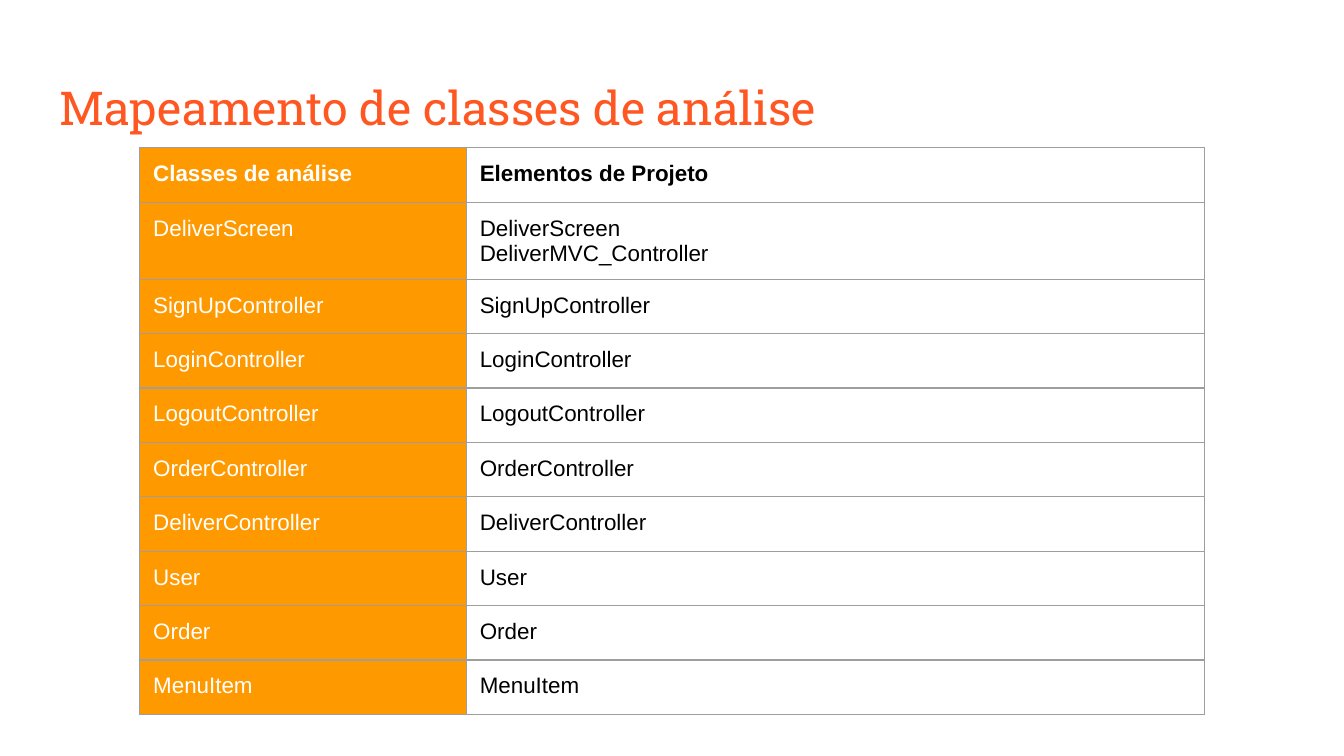
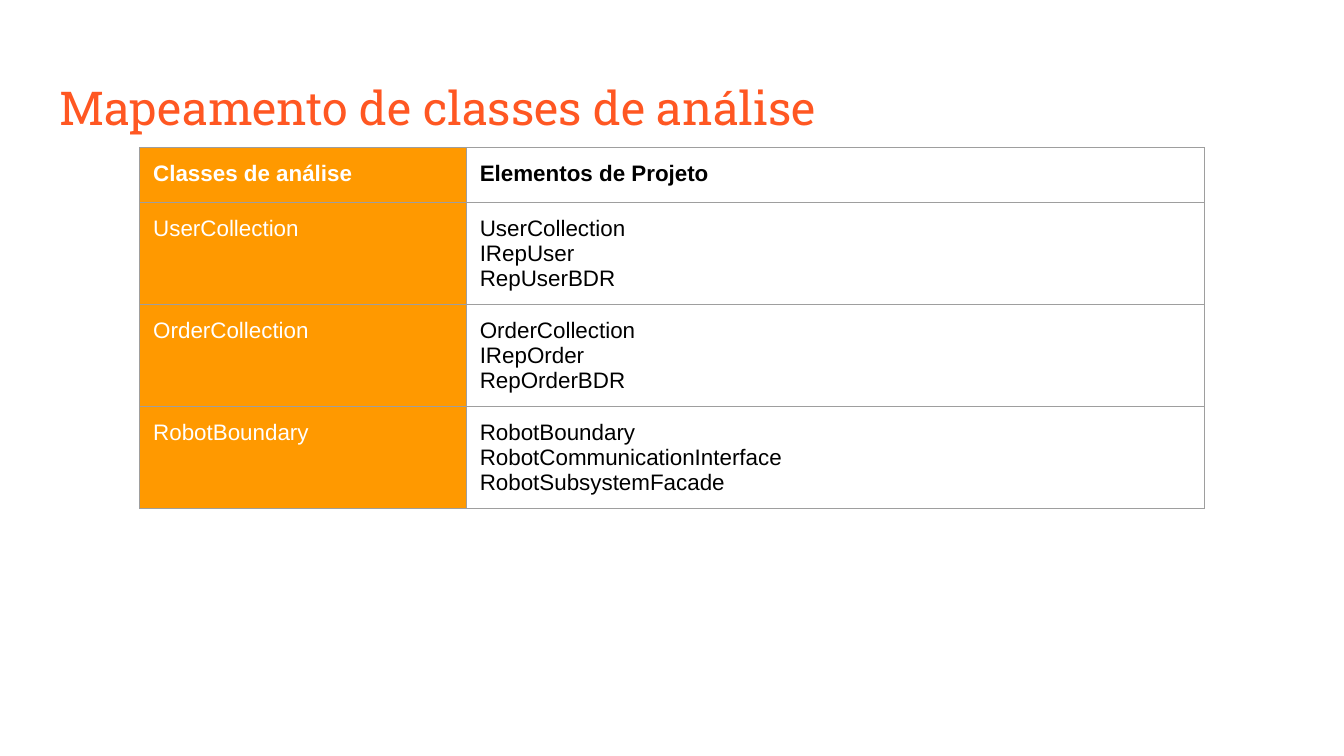
import pptx
import pptx.util
import pptx.dml.color
import pptx.enum.text
import pptx.oxml
import pptx.oxml.ns

Inches = pptx.util.Inches
Pt = pptx.util.Pt
ORANGE, WHITE, BLACK, CORAL, GREY = "FF9900", "FFFFFF", "000000", "FF5722", "9E9E9E"
WIDE = 10
HIGH = WIDE * 9 / 16
EDGE = 0.34
INSET = Inches(0.1)
COLS = [2.43, 5.49]
ROW = HIGH * 0.9 / 12.5
TITLE = "Mapeamento de classes de análise"
HEAD = ("Classes de análise", "Elementos de Projeto")

PAGES = [
    [
        ("DeliverScreen", "DeliverScreen\nDeliverMVC_Controller"),
        *[(name, name) for name in (
            "SignUpController", "LoginController", "LogoutController", "OrderController",
            "DeliverController", "User", "Order", "MenuItem")],
    ],
    [
        ("UserCollection", "UserCollection\nIRepUser\nRepUserBDR"),
        ("OrderCollection", "OrderCollection\nIRepOrder\nRepOrderBDR"),
        ("RobotBoundary", "RobotBoundary\nRobotCommunicationInterface\nRobotSubsystemFacade"),
    ],
]


def paint(item, color):
    item.solid()
    item.fore_color.rgb = pptx.dml.color.RGBColor.from_string(color)


def style(frame, font, size, color, bold=False):
    for para in frame.paragraphs:
        para.alignment = pptx.enum.text.PP_ALIGN.LEFT
        for run in para.runs:
            run.font.name = font
            run.font.size = Pt(size)
            run.font.bold = bold
            paint(run.font.fill, color)


deck = pptx.Presentation()
deck.slide_width, deck.slide_height = Inches(WIDE), Inches(HIGH)

for page in PAGES:
    slide = deck.slides.add_slide(deck.slide_layouts[5])
    title = slide.shapes.title
    title.left, title.top = Inches(EDGE), Inches(0.49)
    title.width, title.height = Inches(WIDE - 2 * EDGE), Inches(0.63)
    frame = title.text_frame
    frame.text = TITLE
    frame.word_wrap = True
    frame.auto_size = pptx.enum.text.MSO_AUTO_SIZE.NONE
    frame.vertical_anchor = pptx.enum.text.MSO_ANCHOR.TOP
    frame.margin_left = frame.margin_right = frame.margin_top = frame.margin_bottom = INSET
    style(frame, "Roboto Slab", 25, CORAL)

    rows = [HEAD, *page]
    table = slide.shapes.add_table(
        len(rows), len(COLS), Inches(1.04), Inches(1.1),
        Inches(sum(COLS)), Inches(ROW * len(rows))).table
    table.first_row = table.horz_banding = False
    for col, width in zip(table.columns, COLS):
        col.width = Inches(width)
    for y, row in enumerate(rows):
        table.rows[y].height = Inches(ROW)
        for x, text in enumerate(row):
            cell = table.cell(y, x)
            cell.text_frame.text = text
            cell.margin_left = cell.margin_right = INSET
            cell.margin_top = cell.margin_bottom = INSET
            style(cell.text_frame, "Arial", 12, BLACK if x else WHITE, y == 0)
            if x == 0:
                paint(cell.fill, ORANGE)
            else:
                cell.fill.background()
            props = cell._tc.get_or_add_tcPr()
            for spot, side in enumerate("LRTB"):
                props.insert(spot, pptx.oxml.parse_xml(
                    f'<a:ln{side} {pptx.oxml.ns.nsdecls("a")} w="{Pt(0.75)}"><a:solidFill>'
                    f'<a:srgbClr val="{GREY}"/></a:solidFill></a:ln{side}>'))

deck.save("out.pptx")
